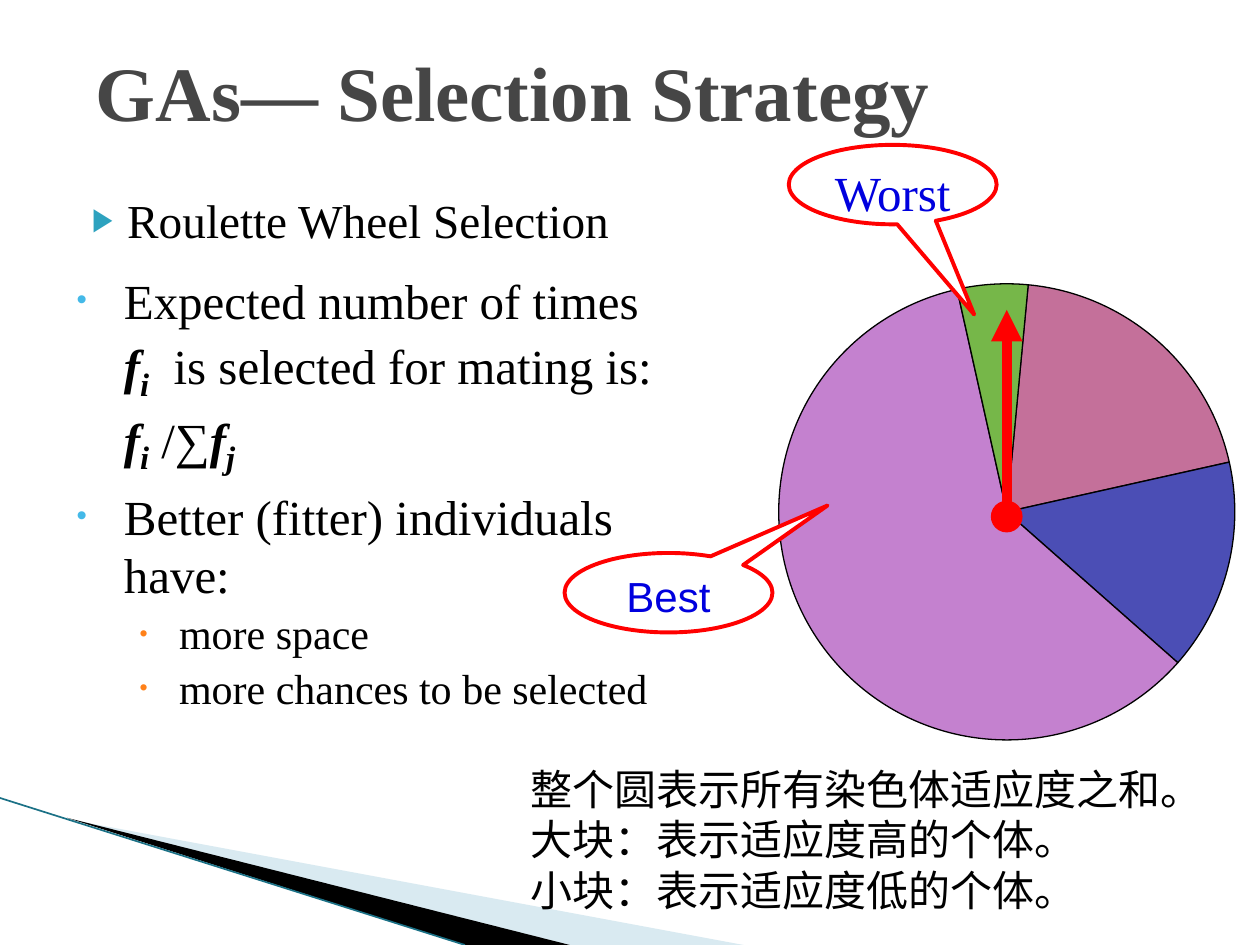
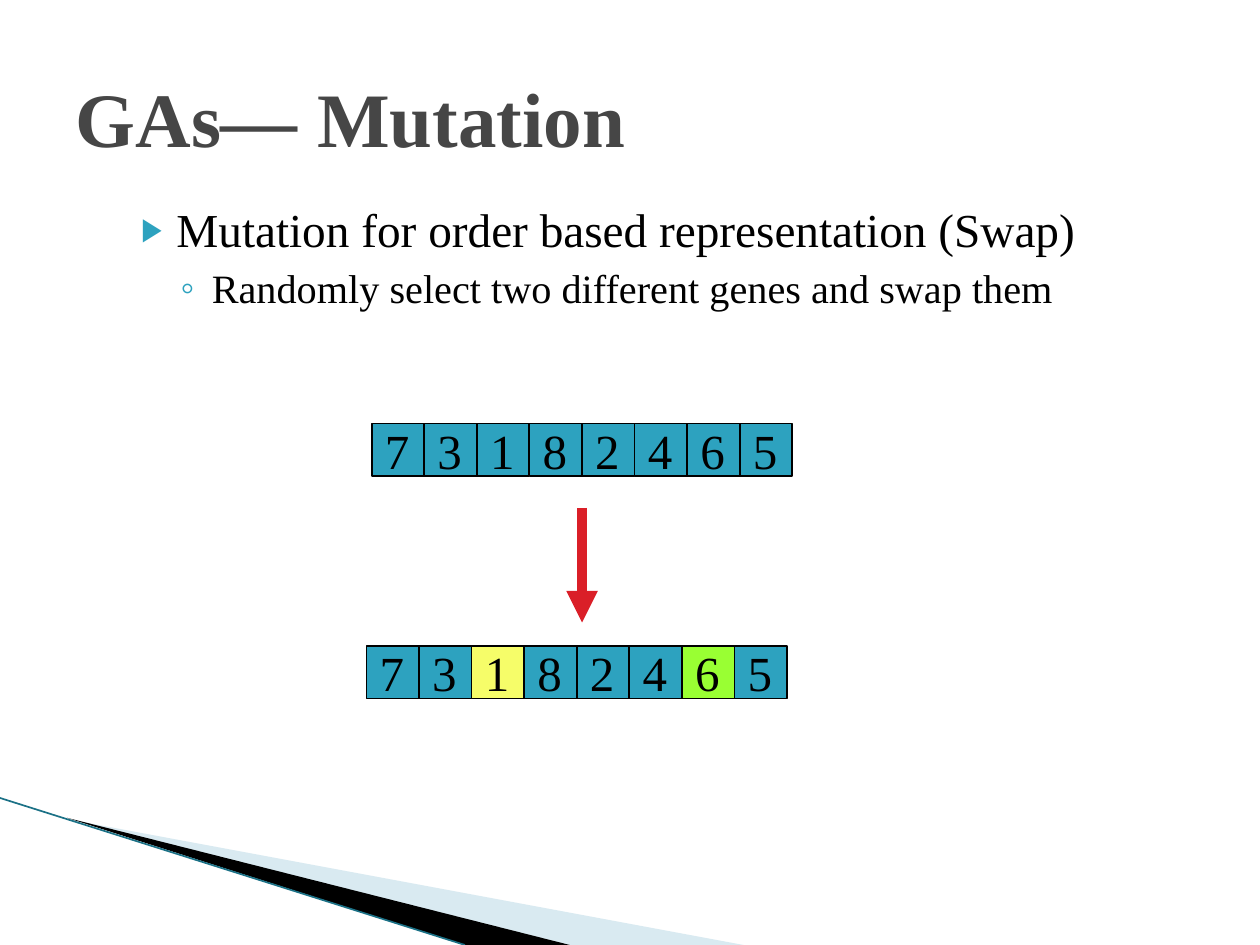
from math import ceil, cos, radians, sin, tan

from lxml.etree import SubElement
from pptx import Presentation
from pptx.dml.color import RGBColor
from pptx.enum.shapes import MSO_CONNECTOR, MSO_SHAPE
from pptx.enum.text import MSO_ANCHOR, MSO_AUTO_SIZE, PP_ALIGN
from pptx.oxml.ns import qn
from pptx.util import Pt

# Content
ROMAN = "Times New Roman"
HUES = {
    "title": "464646", "text": "000000", "teal": "2DA2BF", "sky": "44B9E8",
    "orange": "FF8119", "band": "A0CBDC", "edge": "1B7186", "white": "FFFFFF",
    "red": "FF0000", "blue": "0000DE", "arrow": "DA1F28", "yellow": "F6FD69",
    "lime": "99FF33", "rose": "C4709A", "indigo": "4B4EB5",
    "violet": "C481CF", "green": "76B749",
}

# Bullet styles: sign, hue, sign size %, indent, hang, space before, font size
STYLES = {
    "main": ("▶", "teal", 68, 28.8, 20.2, 4, 27),
    "sub": ("◦", "teal", 100, 49, 18, 3.2, 23),
    "point": ("•", "sky", 60, 27, 27, 5.6, 28),
    "minor": ("•", "orange", 55, 58.5, 22.5, 2.4, 24),
}

# Each item: style, then runs; "*" marks a bold symbol, "_" its subscript
WHEEL = {
    "title": ("GAs— Selection Strategy", (47.5, 20.8, 613, 62.5)),
    "body": ([("main", ["Roulette Wheel Selection"])], (36.7, 106, 612, 45)),
}
SWAP = {
    "title": ("GAs— Mutation", (36, 21.6, 648, 90)),
    "body": ([
        ("main", ["Mutation for order based representation (Swap)"]),
        ("sub", ["Randomly select two different genes and swap them"]),
    ], (64.8, 111.6, 612, 355)),
}
POINTS = [
    ("point", ["Expected number of times  ", "*f", "_i",
               "  is selected for mating is: ", "*f", "_i", " /∑", "*f", "_j"]),
    ("point", ["Better (fitter) individuals have:"]),
    ("minor", ["more space"]),
    ("minor", ["more chances to be selected"]),
]
NOTES = ["整个圆表示所有染色体适应度之和。",
         "大块：表示适应度高的个体。",
         "小块：表示适应度低的个体。"]
SHARES = [("rose", 20), ("indigo", 15), ("violet", 60), ("green", 5)]
HUB, RADIUS, START = (575.3, 292.5), 130.3, 5.4
CALLS = [  # label, font, size, left, top, tip offsets
    ("Best", "Arial", 24, 322.6, 316, (0.765, -1.098)),
    ("Worst", ROMAN, 28, 450.7, 82.8, (0.392, 1.635)),
]
GENES = "73182465"
ROWS = [(212.4, 242, {}), (209.4, 369.2, {2: "yellow", 6: "lime"})]
CELL = 30.05


# Drawing helpers
def rgb(name):
    return RGBColor.from_string(HUES[name])


def box(place):
    return [Pt(n) for n in place]


def paint(shape, fill, line=None, width=0.75):
    shape.shadow.inherit = False
    shape.fill.solid()
    shape.fill.fore_color.rgb = rgb(fill)
    if line:
        shape.line.color.rgb = rgb(line)
        shape.line.width = Pt(width)
    else:
        shape.line.fill.background()
    return shape


def shade(shape, percent):
    hue = shape.element.spPr.find(qn("a:solidFill"))[0]
    SubElement(hue, qn("a:alpha"), val=str(percent * 1000))


def outline(slide, dots, fill, line=None):
    first, *rest = [box(dot) for dot in dots]
    pen = slide.shapes.build_freeform(*first, scale=1.0)
    pen.add_line_segments(rest, close=True)
    return paint(pen.convert_to_shape(), fill, line)


def stroke(slide, start, end, hue, width, head=False):
    line = slide.shapes.add_connector(
        MSO_CONNECTOR.STRAIGHT, *box(start), *box(end))
    line.line.color.rgb = rgb(hue)
    line.line.width = Pt(width)
    props = line.element.spPr
    if head:
        SubElement(props.find(qn("a:ln")), qn("a:tailEnd"), type="triangle")
    SubElement(props, qn("a:effectLst"))


def style(para, size, hue="text", name=ROMAN, bold=None):
    font = para.font
    font.name, font.size, font.bold = name, Pt(size), bold
    font.color.rgb = rgb(hue)


def label(shape, text, size, hue="text", name=ROMAN):
    para = shape.text_frame.paragraphs[0]
    para.text = text
    para.alignment = PP_ALIGN.CENTER
    style(para, size, hue, name)


def bullet(para, sign, hue, scale, indent, hang):
    props = para._p.get_or_add_pPr()
    props.set("marL", str(Pt(indent)))
    props.set("indent", str(-Pt(hang)))
    tint = SubElement(props, qn("a:buClr"))
    SubElement(tint, qn("a:srgbClr"), val=HUES[hue])
    SubElement(props, qn("a:buSzPct"), val=str(scale * 1000))
    SubElement(props, qn("a:buFont"), typeface="Arial")
    SubElement(props, qn("a:buChar"), char=sign)


def fill_list(frame, items):
    frame.word_wrap = True
    frame.auto_size = MSO_AUTO_SIZE.NONE
    frame.margin_top = Pt(3.1)
    for i, (kind, runs) in enumerate(items):
        para = frame.add_paragraph() if i else frame.paragraphs[0]
        para.level = int(kind in ("sub", "minor"))
        *look, gap, size = STYLES[kind]
        bullet(para, *look)
        para.space_before = Pt(gap if i else 0)
        style(para, size)
        for text in runs:
            run = para.add_run()
            run.text = text.lstrip("*_")
            if text[0] in "*_":
                run.font.bold = run.font.italic = True
            if text[0] == "_":
                run.font.size = Pt(32)
                run._r.get_or_add_rPr().set("baseline", "-20000")


def move(shape, place):
    shape.left, shape.top, shape.width, shape.height = box(place)


# Shared slide base: corner bands, title and list
def start(deck, data):
    slide = deck.slides.add_slide(deck.slide_layouts[1])
    shade(outline(slide, [(39.6, 468.3), (425, 540), (325.7, 540)], "band"), 40)
    outline(slide, [(38.2, 467.3), (325.7, 540), (265.7, 540)], "text")
    stroke(slide, (0, 456), (265.7, 540), "edge", 0.95)

    text, place = data["title"]
    title = slide.shapes.title
    move(title, place)
    frame = title.text_frame
    frame.text = text
    frame.auto_size = MSO_AUTO_SIZE.NONE
    frame.vertical_anchor = MSO_ANCHOR.MIDDLE
    frame.paragraphs[0].alignment = PP_ALIGN.LEFT
    style(frame.paragraphs[0], 44, "title", bold=True)

    items, place = data["body"]
    body = slide.placeholders[1]
    move(body, place)
    fill_list(body.text_frame, items)
    return slide


def rim(angle, lead=0):
    """Point on the wheel, moved along its tangent by lead radii."""
    turn = radians(angle)
    return (HUB[0] + RADIUS * (sin(turn) + lead * cos(turn)),
            HUB[1] - RADIUS * (cos(turn) - lead * sin(turn)))


def sector(slide, angle, sweep, hue):
    count = ceil(sweep / 54)
    step = sweep / count
    lead = 4 / 3 * tan(radians(step / 4))
    dots = [HUB, rim(angle)]
    for i in range(count):
        near, far = angle + i * step, angle + (i + 1) * step
        dots += [rim(near, lead), rim(far, -lead), rim(far)]
    shape = outline(slide, dots, hue, "text")

    # Turn each three rim segments into one curve
    legs = list(shape.element.iter(qn("a:lnTo")))[1:]
    for i in range(0, len(legs), 3):
        first, *rest = legs[i:i + 3]
        first.tag = qn("a:cubicBezTo")
        for leg in rest:
            first.append(leg[0])
            leg.getparent().remove(leg)


def wheel_slide(deck):
    slide = start(deck, WHEEL)
    area = slide.shapes.add_textbox(*box((36.7, 151.2, 354.2, 288.7)))
    fill_list(area.text_frame, POINTS)

    # Wheel sectors, clockwise
    angle = START
    for hue, share in SHARES:
        sweep = share * 3.6
        sector(slide, angle, sweep, hue)
        angle += sweep

    # Callouts
    for text, name, size, left, top, tip in CALLS:
        call = slide.shapes.add_shape(
            MSO_SHAPE.OVAL_CALLOUT, *box((left, top, 118.8, 45.4)))
        paint(call, "white", "red", 2.25)
        call.adjustments[0], call.adjustments[1] = tip
        frame = call.text_frame
        frame.vertical_anchor = MSO_ANCHOR.TOP
        frame.margin_top, frame.margin_bottom = Pt(3.6), 0
        label(call, text, size, "blue", name)

    # Pointer
    x = HUB[0]
    stroke(slide, (x, 301.7), (x, 177.1), "red", 6, head=True)
    dot = slide.shapes.add_shape(MSO_SHAPE.OVAL, *box((x - 8.7, 286.5, 17.4, 17.4)))
    paint(dot, "red", "red")

    # Notes
    frame = slide.shapes.add_textbox(*box((296, 432.7, 415.4, 94.3))).text_frame
    frame.word_wrap = True
    for i, text in enumerate(NOTES):
        para = frame.add_paragraph() if i else frame.paragraphs[0]
        para.text = text
        style(para, 24, name="Courier New")


def swap_slide(deck):
    slide = start(deck, SWAP)
    for left, top, marks in ROWS:
        for i, gene in enumerate(GENES):
            cell = slide.shapes.add_shape(
                MSO_SHAPE.RECTANGLE, *box((left + i * CELL, top, CELL, CELL)))
            paint(cell, marks.get(i, "teal"), "text", 1)
            frame = cell.text_frame
            frame.margin_left = frame.margin_top = frame.margin_bottom = 0
            frame.margin_right = Pt(1)
            frame.vertical_anchor = MSO_ANCHOR.MIDDLE
            label(cell, gene, 28)
    stroke(slide, (332.6, 290.2), (332.6, 355.7), "arrow", 6, head=True)


def main():
    deck = Presentation()
    deck.slide_width, deck.slide_height = Pt(720), Pt(540)
    wheel_slide(deck)
    swap_slide(deck)
    deck.save("out.pptx")


if __name__ == "__main__":
    main()
